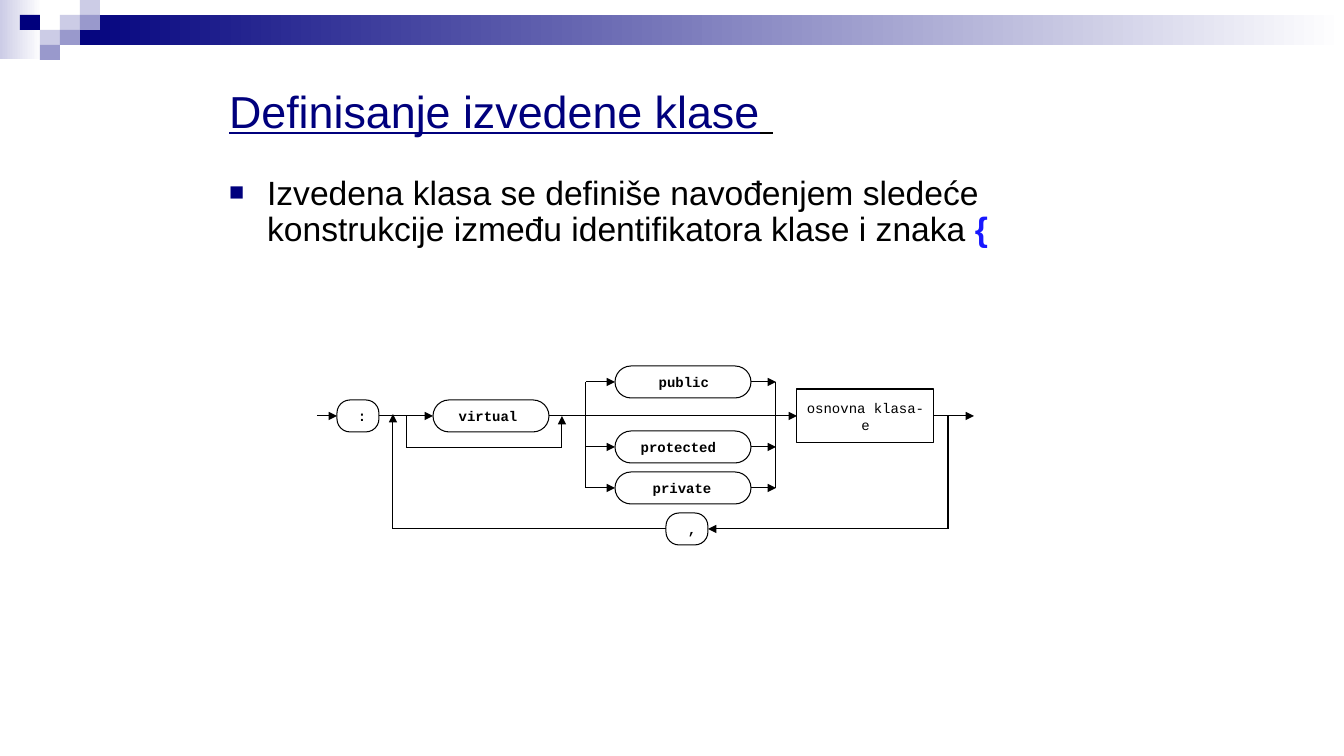
from lxml import etree
from pptx import Presentation
from pptx.dml.color import RGBColor
from pptx.enum.shapes import MSO_CONNECTOR as Link, MSO_SHAPE as Shape
from pptx.enum.text import MSO_ANCHOR as Anchor, MSO_AUTO_SIZE as AutoSize, PP_ALIGN as Align
from pptx.oxml.ns import qn
from pptx.util import Pt

PX = 914400 / 100.8
TOP, LEFT, BOTTOM, RIGHT = range(4)
COLORS = {"navy": "00007D", "violet": "9999CC", "lilac": "CCCCE6",
          "blue": "1818FF", "black": "000000", "white": "FFFFFF"}


def px(value):
    return round(value * PX)


def rgb(name):
    return RGBColor.from_string(COLORS[name])


def write(paragraph, text, size=10, font="Courier New", color="black", bold=False, underline=False):
    run = paragraph.add_run()
    run.text = text
    run.font.size = Pt(size)
    run.font.name = font
    run.font.color.rgb = rgb(color)
    run.font.bold = bold
    run.font.underline = underline


class Diagram:
    def __init__(self, slide):
        self.slide = slide
        self.line_width = Pt(0.75)

    def placeholder(self, index, x, y, width, height, anchor):
        holder = self.slide.placeholders[index]
        holder.left, holder.top, holder.width, holder.height = map(px, (x, y, width, height))
        frame = holder.text_frame
        frame.word_wrap = True
        frame.auto_size = AutoSize.NONE
        frame.vertical_anchor = anchor
        paragraph = frame.paragraphs[0]
        paragraph.alignment = Align.LEFT
        return paragraph

    def bullet(self, paragraph, indent):
        props = paragraph._p.get_or_add_pPr()
        props.set("marL", str(px(indent)))
        props.set("indent", str(-px(indent)))
        color = etree.SubElement(props, qn("a:buClr"))
        etree.SubElement(color, qn("a:srgbClr"), val=COLORS["navy"])
        etree.SubElement(props, qn("a:buSzPct"), val="75000")
        etree.SubElement(props, qn("a:buFont"), typeface="Arial")
        etree.SubElement(props, qn("a:buChar"), char="■")

    def block(self, x, y, width, height, color, fade_to=None, kind=Shape.RECTANGLE):
        block = self.slide.shapes.add_shape(kind, *map(px, (x, y, width, height)))
        block.shadow.inherit = False
        block.line.fill.background()
        if fade_to:
            block.fill.gradient()
            block.fill.gradient_angle = 0
            for stop, name in zip(block.fill.gradient_stops, (color, fade_to)):
                stop.color.rgb = rgb(name)
        else:
            block.fill.solid()
            block.fill.fore_color.rgb = rgb(color)
        return block

    def node(self, text, x, y, width, height=32, indent=None, rounding=0.5):
        """A terminal has an indent and round ends; without an indent it is a plain box."""
        terminal = indent is not None
        kind = Shape.ROUNDED_RECTANGLE if terminal else Shape.RECTANGLE
        node = self.block(x, y, width, height, "white", kind=kind)
        node.line.color.rgb = rgb("black")
        node.line.width = self.line_width
        frame = node.text_frame
        frame.word_wrap = True
        frame.vertical_anchor = Anchor.MIDDLE
        paragraph = frame.paragraphs[0]
        paragraph.alignment = Align.LEFT if terminal else Align.CENTER
        if terminal:
            node.adjustments[0] = rounding
            frame.margin_left, frame.margin_right = px(indent), 0
            frame.margin_top = frame.margin_bottom = 0
        write(paragraph, text, bold=terminal)
        return node

    def line(self, start, end, arrow=False):
        """Each end is a point in px or a (node, side) pair."""
        joins = [place if hasattr(place[0], "text_frame") else None for place in (start, end)]
        points = [(0, 0) if join else tuple(map(px, place))
                  for join, place in zip(joins, (start, end))]
        line = self.slide.shapes.add_connector(Link.STRAIGHT, *points[0], *points[1])
        if joins[0]:
            line.begin_connect(*joins[0])
        if joins[1]:
            line.end_connect(*joins[1])
        line.line.color.rgb = rgb("black")
        line.line.width = self.line_width
        if arrow:
            etree.SubElement(line.line._get_or_add_ln(), qn("a:tailEnd"), type="triangle")
        etree.SubElement(line._element.spPr, qn("a:effectLst"))


def main():
    deck = Presentation()
    deck.slide_width, deck.slide_height = px(1344), px(756)
    diagram = Diagram(deck.slides.add_slide(deck.slide_layouts[1]))

    # Header band and its mosaic of cells
    diagram.block(0, 0, 42, 59, "lilac", fade_to="white")
    diagram.block(60, 15, 1284, 30, "navy", fade_to="white")
    for column, row, color in [(3, 1, "lilac"), (4, 0, "lilac"), (4, 1, "violet"), (2, 2, "lilac"),
                               (1, 1, "navy"), (3, 2, "violet"), (2, 3, "violet")]:
        diagram.block(column * 20, row * 15, 20, 15, color)

    # Title and rule
    title = diagram.placeholder(0, 219, 50, 907, 121, Anchor.MIDDLE)
    write(title, "Definisanje izvedene klase", 32, "Arial", "navy", underline=True)
    write(title, " ", 32, "Arial", underline=True)
    rule = diagram.placeholder(1, 219, 171, 907, 119, Anchor.TOP)
    diagram.bullet(rule, 38)
    rule.line_spacing = 0.9
    rule.space_before = Pt(0)
    write(rule, "Izvedena klasa se definiše navođenjem sledeće "
                "konstrukcije između identifikatora klase i znaka ", 24, "Arial")
    write(rule, "{", 24, "Arial", "blue", bold=True)

    # Syntax nodes
    colon = diagram.node(":", 337, 400, 42, indent=17, rounding=0.41)
    virtual = diagram.node("virtual", 433, 400, 116, indent=21)
    base_class = diagram.node("osnovna klasa-e", 797, 389, 137, 54)
    comma = diagram.node(",", 666, 513, 42, indent=18, rounding=0.41)
    accesses = [(diagram.node(word, 615, y, 136, indent=indent), y + 16)
                for word, y, indent in [("public", 366, 39), ("protected", 431, 21),
                                        ("private", 472, 33)]]

    # Main track
    track = 416
    diagram.line((317, track), (colon, LEFT), arrow=True)
    diagram.line((colon, RIGHT), (virtual, LEFT), arrow=True)
    diagram.line((virtual, RIGHT), (base_class, LEFT), arrow=True)
    diagram.line((base_class, RIGHT), (974, track), arrow=True)

    # Bypass of virtual
    diagram.line((407, track), (407, 448))
    diagram.line((407, 448), (562, 448))
    diagram.line((562, 448), (562, track), arrow=True)

    # Access branches between two rails
    fork, merge = 586, 776
    for rail in (fork, merge):
        diagram.line((rail, accesses[0][1]), (rail, accesses[-1][1]))
    for access, middle in accesses:
        diagram.line((fork, middle), (access, LEFT), arrow=True)
        diagram.line((access, RIGHT), (merge, middle), arrow=True)

    # Loop back through the comma
    diagram.line((948, track), (948, 529))
    diagram.line((948, 529), (comma, RIGHT), arrow=True)
    diagram.line((comma, LEFT), (393, 529))
    diagram.line((393, 529), (393, 414), arrow=True)

    deck.save("out.pptx")


if __name__ == "__main__":
    main()
